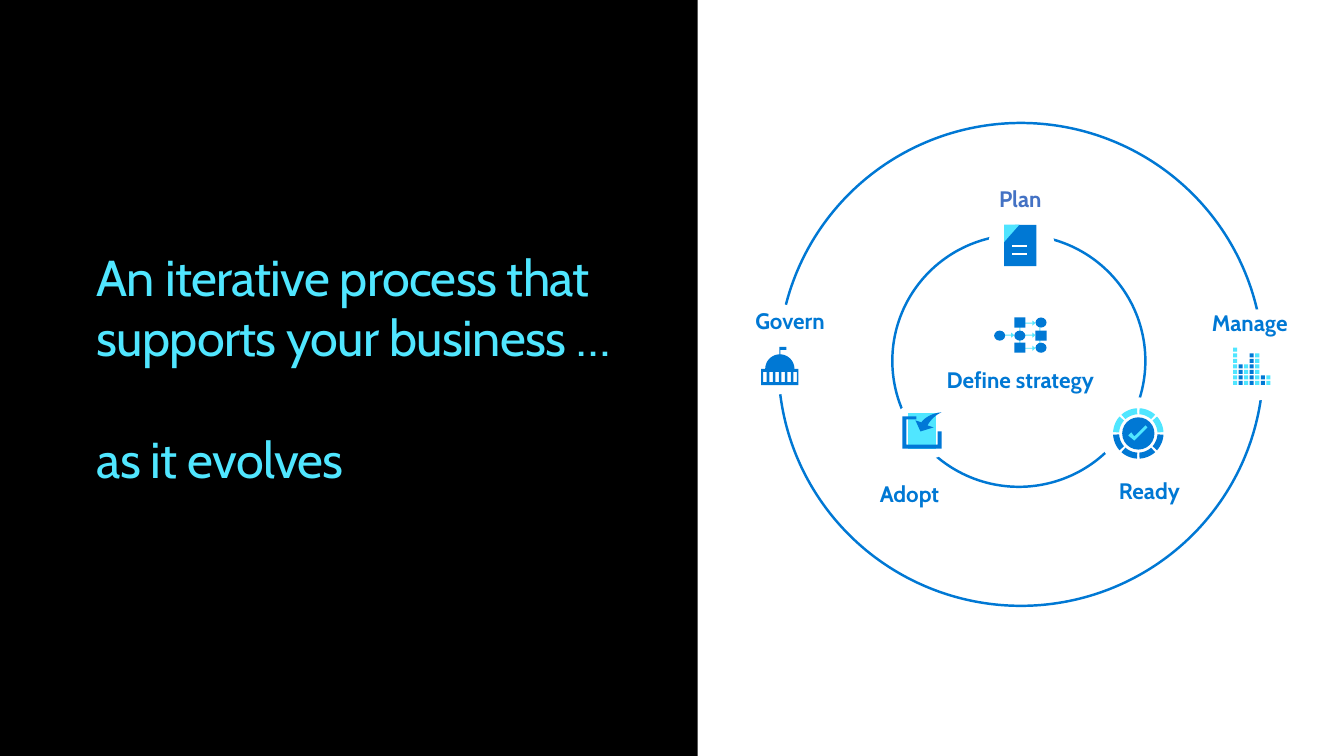
from math import cos, radians, sin

from lxml.etree import SubElement
from pptx import Presentation
from pptx.dml.color import RGBColor
from pptx.enum.shapes import MSO_CONNECTOR, MSO_SHAPE
from pptx.enum.text import MSO_AUTO_SIZE, PP_ALIGN
from pptx.oxml.ns import qn
from pptx.util import Inches, Pt

COLORS = {
    "black": "000000", "white": "FFFFFF", "blue": "0078D4", "cyan": "50E6FF",
    "indigo": "4472C4", "adopt": "0078D7", "fold": "4FE4FF",
}
HEADING = ["An iterative process that supports your business …", "as it evolves"]
HEADING_FONT = {"name": "Cabin", "size": Pt(36)}
LABEL_FONT = {"name": "Cabin", "size": Pt(16), "bold": True}
LABEL_FRAME = {
    "margin_left": 0, "margin_right": 0, "margin_top": 0, "margin_bottom": 0,
    "word_wrap": False, "auto_size": MSO_AUTO_SIZE.SHAPE_TO_FIT_TEXT,
}
LABELS = [
    ("Define strategy", (9.34, 3.66, 1.56, 0.24), "blue", {"alignment": PP_ALIGN.CENTER, "line_spacing": 0.9}),
    ("Plan", (9.9, 1.84, 0.44, 0.27), "indigo", {"alignment": PP_ALIGN.CENTER}),
    ("Adopt", (8.7, 4.76, 0.64, 0.27), "blue", {"alignment": PP_ALIGN.CENTER}),
    ("Ready", (11.09, 4.73, 0.62, 0.27), "blue", {"alignment": PP_ALIGN.CENTER}),
    ("Manage", (12.02, 3.07, 0.83, 0.27), "blue", {"alignment": PP_ALIGN.LEFT}),
    ("Govern", (7.44, 3.05, 0.74, 0.27), "blue", {"alignment": PP_ALIGN.RIGHT}),
]
RINGS = [(7.72, 1.22, 4.81, 4.79), (8.85, 2.33, 2.51, 2.5)]
RING_GAPS = [
    (8.83, 3.98, 0.67, 0.58), (9.8, 2.12, 0.66, 0.65), (10.9, 3.94, 0.72, 0.71),
    (12.03, 3.07, 0.91, 0.9), (7.21, 3, 0.89, 0.92),
]
STRATEGY_LINKS = [
    (10.12, 3.45, 0.13, 0.01), (10.11, 3.2, 0.01, 0.24), (10.11, 3.2, 0.13, 0.01),
    (10.31, 3.2, 0.01, 0.27), (10.14, 3.32, 0.11, 0.01), (9.93, 3.32, 0.11, 0.01),
]
STRATEGY_COLUMNS = [9.86, 10.06, 10.27]
STRATEGY_ROWS = [3.15, 3.28, 3.4]
STRATEGY_NODES = [
    (0, 1, "oval"), (1, 0, "square"), (1, 1, "oval"), (1, 2, "square"),
    (2, 0, "oval"), (2, 1, "square"), (2, 2, "oval"),
]
STRATEGY_ARROWS = [(10.24, 3.18), (10.24, 3.3), (10.24, 3.43), (10.03, 3.3)]
MANAGE_BARS = [7, 4, 4, 6, 6, 2, 2]
ADOPT_PAGE = [(9.01, 4.1), (9.28, 4.1), (9.28, 4.45), (9.01, 4.45)]
ADOPT_FRAME = [
    (9.3, 4.28), (9.3, 4.41), (8.99, 4.41), (8.99, 4.16), (9.09, 4.16), (9.09, 4.13),
    (8.95, 4.13), (8.95, 4.45), (9.34, 4.45), (9.34, 4.28),
]
ADOPT_OUTER_CURVE = [(9.34, 4.09), (9.21, 4.1), (9.14, 4.18), (9.14, 4.19)]
ADOPT_ARROWHEAD = [(9.08, 4.17), (9.13, 4.28), (9.26, 4.24)]
ADOPT_INNER_CURVE = [(9.2, 4.22), (9.22, 4.18), (9.27, 4.12), (9.34, 4.09)]
PLAN_PAGE = [(10.07, 2.23), (9.96, 2.35), (9.96, 2.64), (10.28, 2.64), (10.28, 2.23)]
PLAN_FOLD = [(9.96, 2.23), (10.11, 2.23), (9.96, 2.4)]
PLAN_LINES = [2.44, 2.52]
READY_CENTER = (11.29, 4.3)
READY_TICK = [(11.38, 4.24), (11.36, 4.22), (11.25, 4.33), (11.22, 4.29), (11.19, 4.32), (11.25, 4.37)]
GOVERN_CENTER = (7.735, 3.66)
GOVERN_FLAG = [(7.73, 3.52), (7.73, 3.44), (7.8, 3.44), (7.8, 3.47), (7.74, 3.47), (7.74, 3.52)]
GOVERN_BASE = [(7.55, 3.66), (7.55, 3.82), (7.92, 3.82), (7.92, 3.66)]


def color(name):
    return RGBColor.from_string(COLORS[name])


def apply(target, values):
    for name, value in values.items():
        setattr(target, name, value)


def paint(shape, fill):
    shape.shadow.inherit = False
    shape.fill.solid()
    shape.fill.fore_color.rgb = color(fill)
    shape.line.fill.background()


def add_preset(kind, place, fill):
    shape = page.shapes.add_shape(kind, *map(Inches, place))
    paint(shape, fill)
    return shape


def add_outline(contours, fill):
    contours = [[(Inches(x), Inches(y)) for x, y in points] for points in contours]
    builder = page.shapes.build_freeform(*contours[0][0], scale=1.0)
    for index, points in enumerate(contours):
        if index:
            builder.move_to(*points[0])
        builder.add_line_segments(points[1:], close=True)
    paint(builder.convert_to_shape(), fill)


def arc(center, radius, start, end, steps=12):
    angles = [radians(start + (end - start) * step / steps) for step in range(steps + 1)]
    return [(center[0] + radius * cos(a), center[1] + radius * sin(a)) for a in angles]


def curve(points, steps=10):
    result = []
    for step in range(steps + 1):
        t = step / steps
        weights = ((1 - t) ** 3, 3 * t * (1 - t) ** 2, 3 * t * t * (1 - t), t ** 3)
        result.append(tuple(sum(w * p[axis] for w, p in zip(weights, points)) for axis in (0, 1)))
    return result


def add_span(para, text, font, fill):
    span = para.add_run()
    span.text = text
    apply(span.font, font)
    span.font.color.rgb = color(fill)
    return span


def add_heading():
    box = page.shapes.add_textbox(*map(Inches, (0.86, 2.39, 5.44, 3.13)))
    frame = box.text_frame
    apply(frame, {"word_wrap": True, "auto_size": MSO_AUTO_SIZE.SHAPE_TO_FIT_TEXT})
    for index, text in enumerate(HEADING):
        para = frame.add_paragraph() if index else frame.paragraphs[0]
        if index:
            para.space_before = Pt(43.7)
        span = add_span(para, text, HEADING_FONT, "cyan")
        span.font._element.set("spc", "-50")


def add_strategy():
    kinds = {"oval": MSO_SHAPE.OVAL, "square": MSO_SHAPE.RECTANGLE}
    for place in STRATEGY_LINKS:
        add_preset(MSO_SHAPE.RECTANGLE, place, "cyan")
    for column, row, kind in STRATEGY_NODES:
        add_preset(kinds[kind], (STRATEGY_COLUMNS[column], STRATEGY_ROWS[row], 0.11, 0.1), "blue")
    for x, y in STRATEGY_ARROWS:
        add_outline([[(x, y), (x + 0.03, y + 0.025), (x, y + 0.05)]], "cyan")


def add_adopt():
    add_outline([ADOPT_PAGE], "cyan")
    add_outline([ADOPT_FRAME], "adopt")
    add_outline([curve(ADOPT_OUTER_CURVE) + ADOPT_ARROWHEAD + curve(ADOPT_INNER_CURVE)], "adopt")


def add_plan():
    add_outline([PLAN_PAGE], "blue")
    for y in PLAN_LINES:
        rule = page.shapes.add_connector(MSO_CONNECTOR.STRAIGHT, *map(Inches, (10.04, y, 10.19, y)))
        rule.line.color.rgb = color("white")
        rule.line.width = Pt(1.38)
        SubElement(rule._element.spPr, qn("a:effectLst"))
    add_outline([PLAN_FOLD], "fold")


def add_ready():
    add_preset(MSO_SHAPE.OVAL, (11.13, 4.14, 0.32, 0.32), "blue")
    add_outline([READY_TICK], "cyan")
    for segment in range(8):
        start, end = segment * 45 + 3, segment * 45 + 42
        ring = arc(READY_CENTER, 0.25, start, end) + arc(READY_CENTER, 0.19, end, start)
        add_outline([ring], "blue" if segment < 4 else "cyan")


def add_manage():
    for column, height in enumerate(MANAGE_BARS):
        for row in range(height):
            place = (12.23 + 0.055 * column, 3.78 - 0.055 * row, 0.04, 0.04)
            add_preset(MSO_SHAPE.RECTANGLE, place, "blue" if column % 2 else "cyan")


def add_govern():
    left_dome = arc(GOVERN_CENTER, 0.145, 180, 268)
    right_dome = arc(GOVERN_CENTER, 0.145, 272, 360)
    windows = []
    for index in range(6):
        x = 7.57 + 0.06 * index
        windows.append([(x, 3.69), (x + 0.035, 3.69), (x + 0.035, 3.79), (x, 3.79)])
    add_outline([left_dome + GOVERN_FLAG + right_dome + GOVERN_BASE[::-1], *windows], "blue")


deck = Presentation()
deck.slide_width, deck.slide_height = Inches(13.33), Inches(7.5)
page = deck.slides.add_slide(deck.slide_layouts[6])

add_preset(MSO_SHAPE.RECTANGLE, (0, -0.02, 6.92, 7.52), "black")
add_heading()
for place in RINGS:
    ring = add_preset(MSO_SHAPE.OVAL, place, "white")
    ring.fill.background()
    ring.line.color.rgb = color("blue")
    ring.line.width = Pt(1.75)
for place in RING_GAPS:
    add_preset(MSO_SHAPE.OVAL, place, "white")
for add_icon in (add_strategy, add_adopt, add_plan, add_ready, add_manage, add_govern):
    add_icon()
for text, place, fill, layout in LABELS:
    box = page.shapes.add_textbox(*map(Inches, place))
    apply(box.text_frame, LABEL_FRAME)
    para = box.text_frame.paragraphs[0]
    apply(para, layout)
    add_span(para, text, LABEL_FONT, fill)

deck.save("out.pptx")
